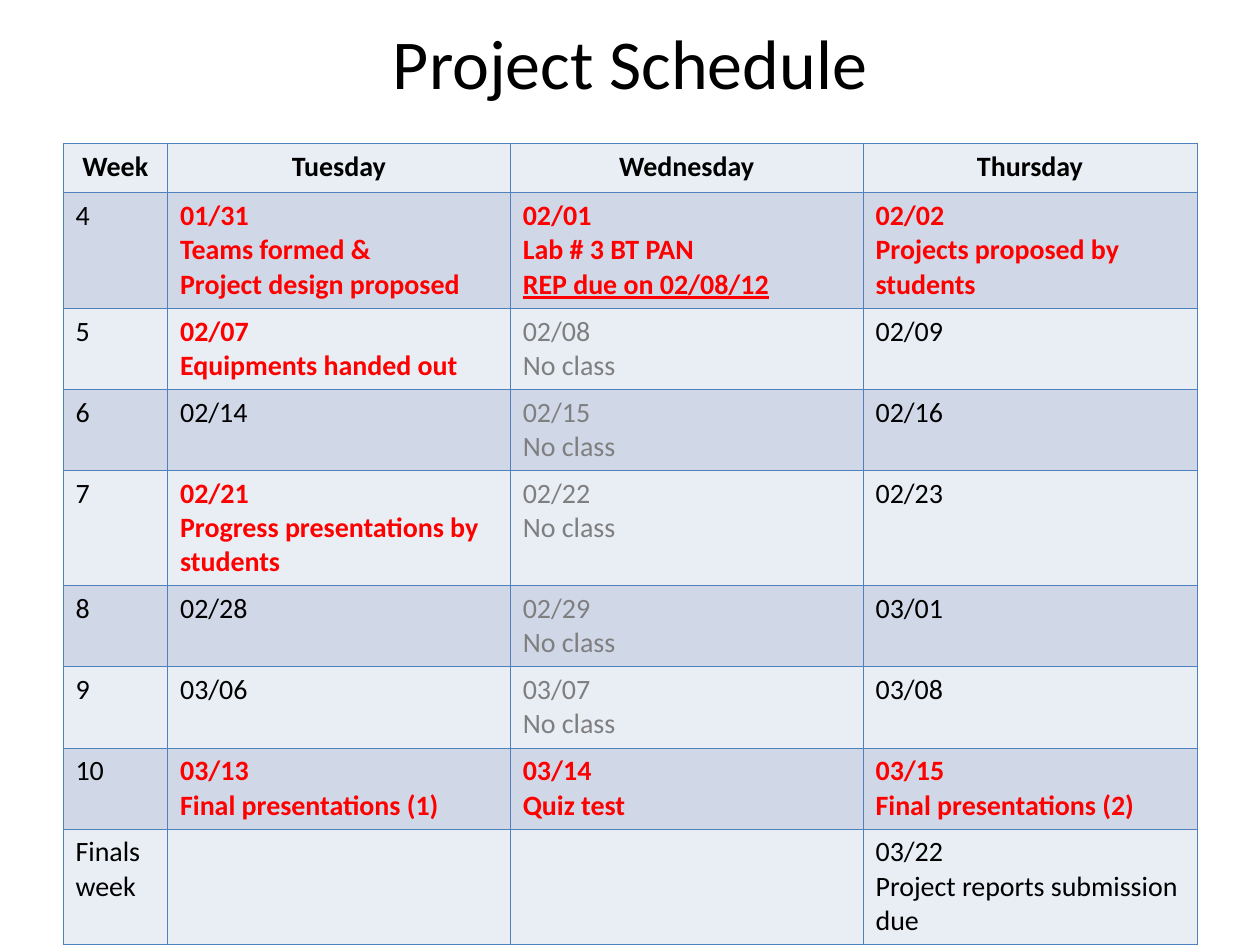
from lxml.etree import SubElement
from pptx import Presentation
from pptx.dml.color import RGBColor as RGB
from pptx.enum.text import MSO_ANCHOR as Anchor, PP_ALIGN as Align
from pptx.oxml.ns import qn
from pptx.util import Inches, Pt

HUES = {"plain": "000000", "hot": "FF0000", "dim": "7F7F7F",
        "odd": "D0D8E8", "even": "E9EDF4", "rule": "4F81BD"}
FONT = "Calibri"
COLS = [0.83, 2.72, 2.8, 2.65]
HEAD, LINE, PAD = 0.39, 0.27, 0.1  # row heights in inches
DAYS = ["Week", "Tuesday", "Wednesday", "Thursday"]


def hot(*lines):
    return "hot", lines


def plain(*lines):
    return "plain", lines


def off(date):
    return "dim", (date, "No class")


# Each week: label, most lines in a cell, then the three days
WEEKS = [
    ("4", 3, hot("01/31", "Teams formed &", "Project design proposed"),
     hot("02/01", "Lab # 3 BT PAN", "REP due on 02/08/12"),
     hot("02/02", "Projects proposed by students")),
    ("5", 2, hot("02/07", "Equipments handed out"), off("02/08"), plain("02/09")),
    ("6", 2, plain("02/14"), off("02/15"), plain("02/16")),
    ("7", 3, hot("02/21", "Progress presentations by students"),
     off("02/22"), plain("02/23")),
    ("8", 2, plain("02/28"), off("02/29"), plain("03/01")),
    ("9", 2, plain("03/06"), off("03/07"), plain("03/08")),
    ("10", 2, hot("03/13", "Final presentations (1)"),
     hot("03/14", "Quiz test"), hot("03/15", "Final presentations (2)")),
    ("Finals week", 3, plain(), plain(),
     plain("03/22", "Project reports submission due")),
]


def style(para, size, hue, bold=False, align=Align.LEFT):
    para.alignment = align
    font = para.font
    font.name, font.size, font.bold = FONT, Pt(size), bold
    font.color.rgb = RGB.from_string(HUES[hue])


def edge(cell):
    """Draw thin rules on all four sides; they must precede the fill."""
    props = cell._tc.get_or_add_tcPr()
    for side in ("lnL", "lnR", "lnT", "lnB"):
        line = SubElement(props, qn(f"a:{side}"), w=str(Pt(0.45)))
        fill = SubElement(line, qn("a:solidFill"))
        SubElement(fill, qn("a:srgbClr"), val=HUES["rule"])


def fill_cell(cell, lines, hue, band, bold=False, align=Align.LEFT):
    edge(cell)
    cell.fill.solid()
    cell.fill.fore_color.rgb = RGB.from_string(HUES[band])
    frame = cell.text_frame
    frame.text = "\n".join(lines)
    for para in frame.paragraphs:
        style(para, 16, hue, bold, align)
        if para.text.startswith("REP due"):
            para.font.underline = True


def add_title(slide, box, text):
    title = slide.shapes.title
    title.left, title.top, title.width, title.height = map(Inches, box)
    frame = title.text_frame
    frame.text = text
    frame.vertical_anchor = Anchor.MIDDLE
    style(frame.paragraphs[0], 40, "plain", align=Align.CENTER)


def add_plan(slide, left, top):
    rows = [HEAD] + [PAD + LINE * week[1] for week in WEEKS]
    box = map(Inches, (left, top, sum(COLS), sum(rows)))
    table = slide.shapes.add_table(len(rows), len(COLS), *box).table
    table.first_row = table.horz_banding = False
    for col, width in zip(table.columns, COLS):
        col.width = Inches(width)
    for row, height in zip(table.rows, rows):
        row.height = Inches(height)

    # Header
    for x, day in enumerate(DAYS):
        fill_cell(table.cell(0, x), [day], "plain", "even", True, Align.CENTER)

    # Weeks
    for y, (label, _, *days) in enumerate(WEEKS, 1):
        band = "odd" if y % 2 else "even"
        for x, (hue, lines) in enumerate([plain(label), *days]):
            fill_cell(table.cell(y, x), lines, hue, band, hue == "hot")


def main():
    deck = Presentation()
    deck.slide_width, deck.slide_height = Inches(10), Inches(7.5)
    slide = deck.slides.add_slide(deck.slide_layouts[5])
    add_title(slide, (0.5, 0.12, 9, 0.74), "Project Schedule")
    add_plan(slide, 0.5, 1.14)
    deck.save("out.pptx")


if __name__ == "__main__":
    main()
